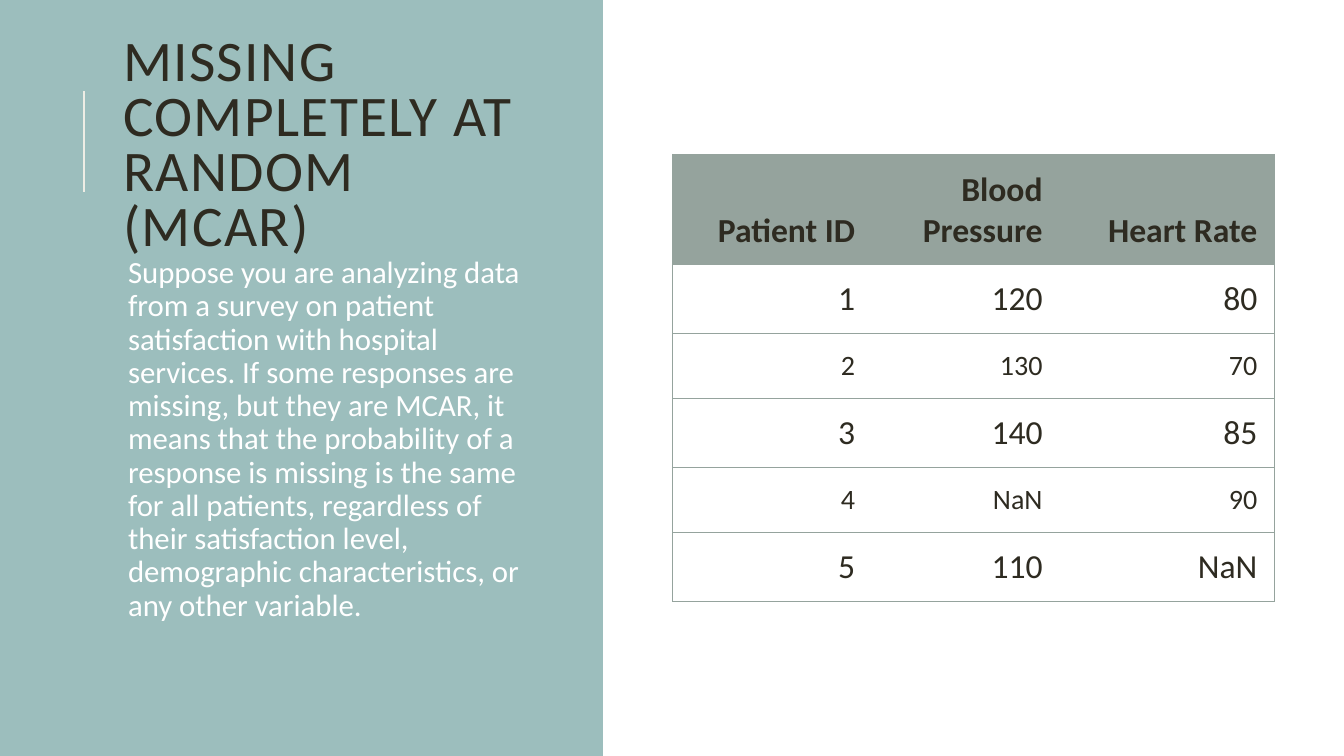
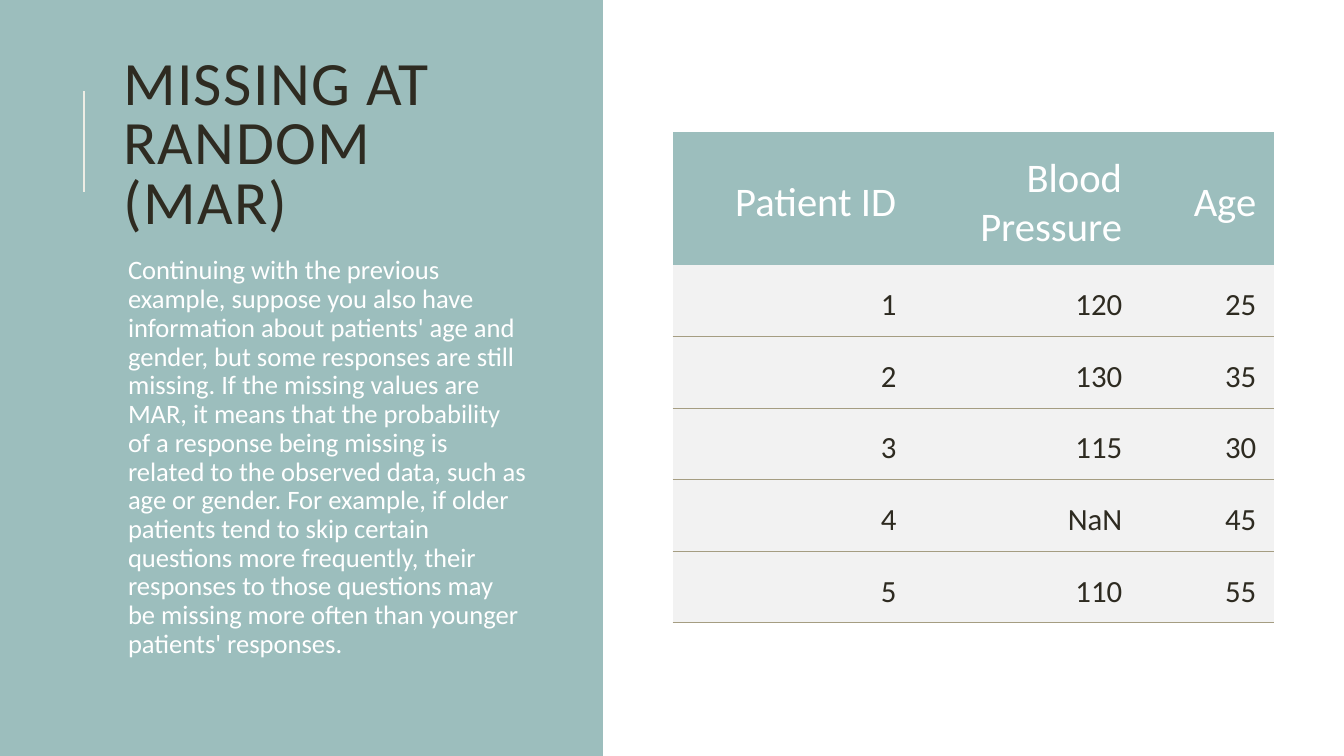
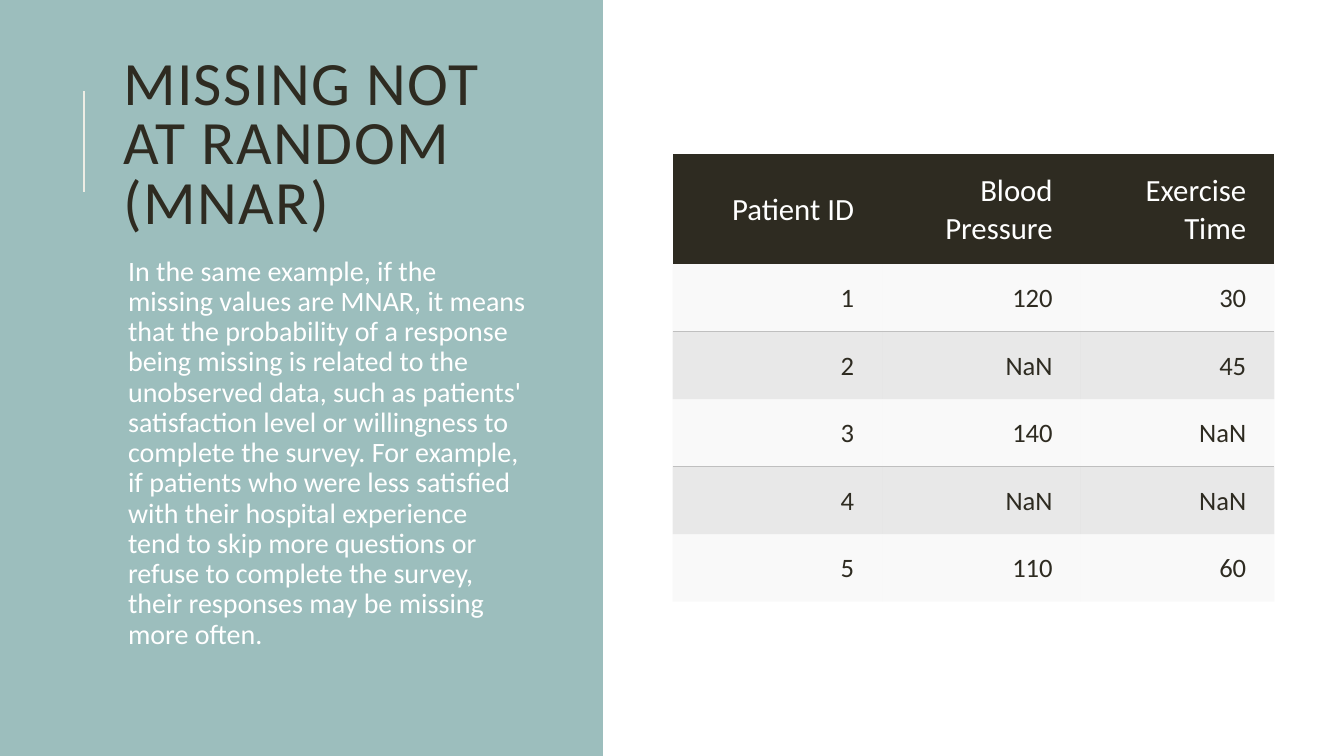
from dataclasses import dataclass

from lxml.etree import SubElement
from pptx import Presentation
from pptx.dml.color import RGBColor
from pptx.enum.shapes import MSO_CONNECTOR as CONN, MSO_SHAPE as SHAPE
from pptx.enum.text import MSO_ANCHOR as ANCHOR, MSO_AUTO_SIZE as AUTO, PP_ALIGN as ALIGN
from pptx.oxml.ns import qn
from pptx.util import Inches, Pt

FONT = "Calibri"
COLORS = {
    "teal": "9CBEBD", "ink": "2E2B21", "white": "FFFFFF", "cream": "EEEDE5",
    "sage": "95A39D", "khaki": "A59D82", "pale": "F2F2F2", "silver": "BFBFBF",
}
PANEL = (0, 0, 5.98, 7.5)
TABLE_LEFT = 6.67


@dataclass
class TableStyle:
    top: float
    widths: list
    heights: list        # header row, then body rows in turn
    margins: tuple       # left, top, right, bottom
    header: tuple        # fill, font colour, size, bold, anchor
    body_sizes: list     # point sizes, in turn
    body_fills: list     # (colour, opacity in percent) or None, in turn
    rule: tuple          # colour, width in points
    ruled: range         # horizontal lines drawn, 0 being the top edge
    framed: bool = False


MCAR_STYLE = TableStyle(
    1.53, [1.98, 1.86, 2.13], [1.09, 0.69, 0.64], (0.17, 0.12, 0.17, 0.12),
    ("sage", "ink", 24, True, ANCHOR.BOTTOM), [24, 20], [None],
    ("sage", 0.75), range(7), framed=True)
MAR_STYLE = TableStyle(
    1.31, [2.4, 2.24, 1.33], [1.32, 0.71], (0.18, 0.18, 0.18, 0.09),
    ("teal", "white", 29, False, ANCHOR.MIDDLE), [22], [("pale", 100)],
    ("khaki", 0.75), range(2, 7))
MNAR_STYLE = TableStyle(
    1.53, [2.08, 1.97, 1.92], [1.09, 0.67], (0.28, 0.16, 0.28, 0.14),
    ("ink", "white", 22, False, ANCHOR.MIDDLE), [19], [("pale", 45), ("silver", 35)],
    ("silver", 1), range(2, 5, 2))

SLIDES = [
    ("MISSING COMPLETELY AT RANDOM (MCAR)", 41,
     "Suppose you are analyzing data from a survey on patient satisfaction with hospital "
     "services. If some responses are missing, but they are MCAR, it means that the "
     "probability of a response is missing is the same for all patients, regardless of "
     "their satisfaction level, demographic characteristics, or any other variable.", 22,
     [("Patient ID", "Blood Pressure", "Heart Rate"),
      (1, 120, 80), (2, 130, 70), (3, 140, 85), (4, "NaN", 90), (5, 110, "NaN")],
     MCAR_STYLE),
    ("MISSING AT RANDOM (MAR)", 44,
     "Continuing with the previous example, suppose you also have information about "
     "patients' age and gender, but some responses are still missing. If the missing values "
     "are MAR, it means that the probability of a response being missing is related to the "
     "observed data, such as age or gender. For example, if older patients tend to skip "
     "certain questions more frequently, their responses to those questions may be missing "
     "more often than younger patients' responses.", 19,
     [("Patient ID", "Blood Pressure", "Age"),
      (1, 120, 25), (2, 130, 35), (3, 115, 30), (4, "NaN", 45), (5, 110, 55)],
     MAR_STYLE),
    ("MISSING NOT AT RANDOM (MNAR)", 44,
     "In the same example, if the missing values are MNAR, it means that the probability of "
     "a response being missing is related to the unobserved data, such as patients' "
     "satisfaction level or willingness to complete the survey. For example, if patients "
     "who were less satisfied with their hospital experience tend to skip more questions or "
     "refuse to complete the survey, their responses may be missing more often.", 20,
     [("Patient ID", "Blood Pressure", "Exercise Time"),
      (1, 120, 30), (2, "NaN", 45), (3, 140, "NaN"), (4, "NaN", "NaN"), (5, 110, 60)],
     MNAR_STYLE),
]


def rgb(name):
    return RGBColor.from_string(COLORS[name])


def add_run(p, text, size, color, bold=False):
    r = p.add_run()
    r.text = str(text)
    r.font.name, r.font.size, r.font.bold = FONT, Pt(size), bold
    r.font.color.rgb = rgb(color)
    return r


def set_fill(fill, color, opacity=100):
    fill.solid()
    fill.fore_color.rgb = rgb(color)
    if opacity < 100:
        clr = fill._xPr.find(qn("a:solidFill"))[0]
        SubElement(clr, qn("a:alpha"), val=str(opacity * 1000))


def set_borders(cell, rule, sides):
    """Draw the named sides (of L, R, T, B) and clear the others."""
    color, width = rule
    tc_pr = cell._tc.get_or_add_tcPr()
    for side in "LRTB":
        ln = SubElement(tc_pr, qn(f"a:ln{side}"), w=str(Pt(width)))
        if side in sides:
            solid = SubElement(ln, qn("a:solidFill"))
            SubElement(solid, qn("a:srgbClr"), val=COLORS[color])
        else:
            SubElement(ln, qn("a:noFill"))


def add_panel(s, box):
    """Coloured band behind the text, with the thin rule beside the title."""
    x, y, w, h = box
    sp = s.shapes.add_shape(SHAPE.RECTANGLE, *map(Inches, box))
    sp.shadow.inherit = False
    set_fill(sp.fill, "teal")
    sp.line.fill.background()
    s.shapes._spTree.insert(2, sp._element)

    accent = s.shapes.add_connector(
        CONN.STRAIGHT, Inches(x + 0.83), Inches(y + 1.9), Inches(x + 0.83), Inches(y + 0.9))
    accent.line.color.rgb = rgb("cream")
    accent.line.width = Pt(1.5)
    SubElement(accent._element.spPr, qn("a:effectLst"))


def add_title(s, box, text, size):
    x, y, w, h = box
    sp = s.shapes.title
    sp.left, sp.top = Inches(x + 1.12), Inches(y + 0.64)
    sp.width, sp.height = Inches(4.13), Inches(1.64)
    tf = sp.text_frame
    tf.word_wrap, tf.auto_size = True, AUTO.NONE
    tf.vertical_anchor = ANCHOR.MIDDLE
    p = tf.paragraphs[0]
    p.alignment, p.line_spacing = ALIGN.LEFT, 0.8
    r = add_run(p, text, size, "ink")
    r.font._element.set("spc", "100")


def add_body(s, box, text, size):
    x, y, w, h = box
    sp = s.shapes.add_textbox(Inches(x + 1.12), Inches(y + 2.5), Inches(4.15), Inches(4.3))
    tf = sp.text_frame
    tf.word_wrap = True
    tf.margin_left = tf.margin_top = tf.margin_right = tf.margin_bottom = Inches(0.05)
    p = tf.paragraphs[0]
    p.line_spacing, p.space_before, p.space_after = 0.9, Pt(12), Pt(2)
    p._p.get_or_add_pPr().set("marL", str(Inches(0.1)))
    add_run(p, text, size, "white")


def format_cell(cell, text, row, sides, style):
    fill, color, size, bold, anchor = style.header
    opacity = 100
    if row:
        turn = row - 1
        size = style.body_sizes[turn % len(style.body_sizes)]
        fill, opacity = style.body_fills[turn % len(style.body_fills)] or (None, 100)
        color, bold, anchor = "ink", False, ANCHOR.MIDDLE
    set_borders(cell, style.rule, sides)
    if fill:
        set_fill(cell.fill, fill, opacity)
    else:
        cell.fill.background()
    (cell.margin_left, cell.margin_top,
     cell.margin_right, cell.margin_bottom) = map(Inches, style.margins)
    cell.vertical_anchor = anchor
    p = cell.text_frame.paragraphs[0]
    p.alignment = ALIGN.RIGHT
    add_run(p, text, size, color, bold)


def add_data_table(s, rows, style):
    first, *turns = style.heights
    heights = [first] + [turns[i % len(turns)] for i in range(len(rows) - 1)]
    last = len(style.widths) - 1
    table = s.shapes.add_table(
        len(rows), len(style.widths), Inches(TABLE_LEFT), Inches(style.top),
        Inches(sum(style.widths)), Inches(sum(heights))).table
    table.first_row = table.horz_banding = False
    for col, width in zip(table.columns, style.widths):
        col.width = Inches(width)
    for i, values in enumerate(rows):
        table.rows[i].height = Inches(heights[i])
        for j, value in enumerate(values):
            drawn = {"T": i in style.ruled, "B": i + 1 in style.ruled,
                     "L": style.framed and j == 0, "R": style.framed and j == last}
            sides = [side for side, on in drawn.items() if on]
            format_cell(table.cell(i, j), value, i, sides, style)


def add_data_slide(prs, title, title_size, body, body_size, rows, style):
    s = prs.slides.add_slide(prs.slide_layouts.get_by_name("Title Only"))
    add_panel(s, PANEL)
    add_title(s, PANEL, title, title_size)
    add_body(s, PANEL, body, body_size)
    add_data_table(s, rows, style)


def main():
    prs = Presentation()
    prs.slide_width, prs.slide_height = Inches(13.33), Inches(7.5)
    for content in SLIDES:
        add_data_slide(prs, *content)
    prs.save("out.pptx")


if __name__ == "__main__":
    main()
